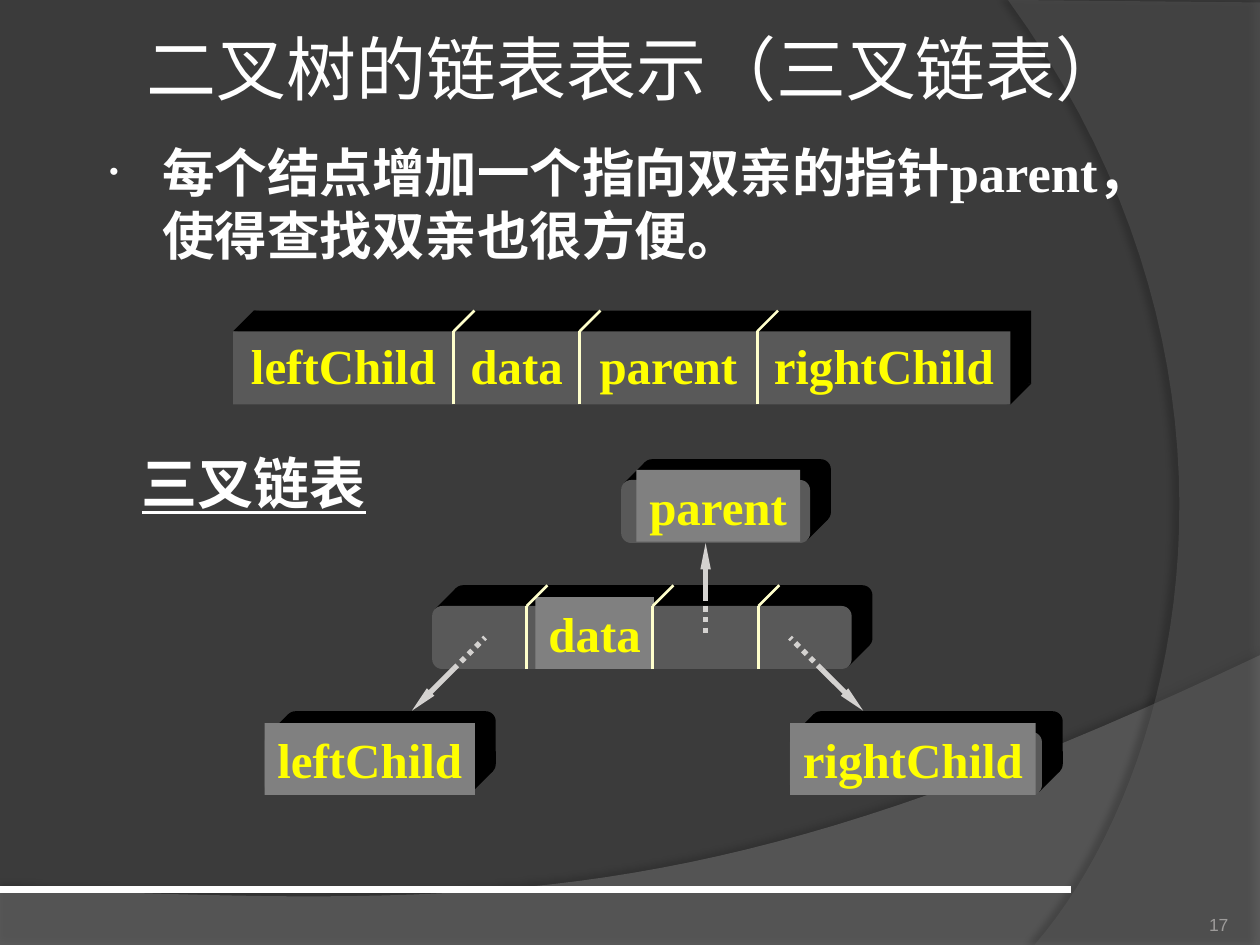
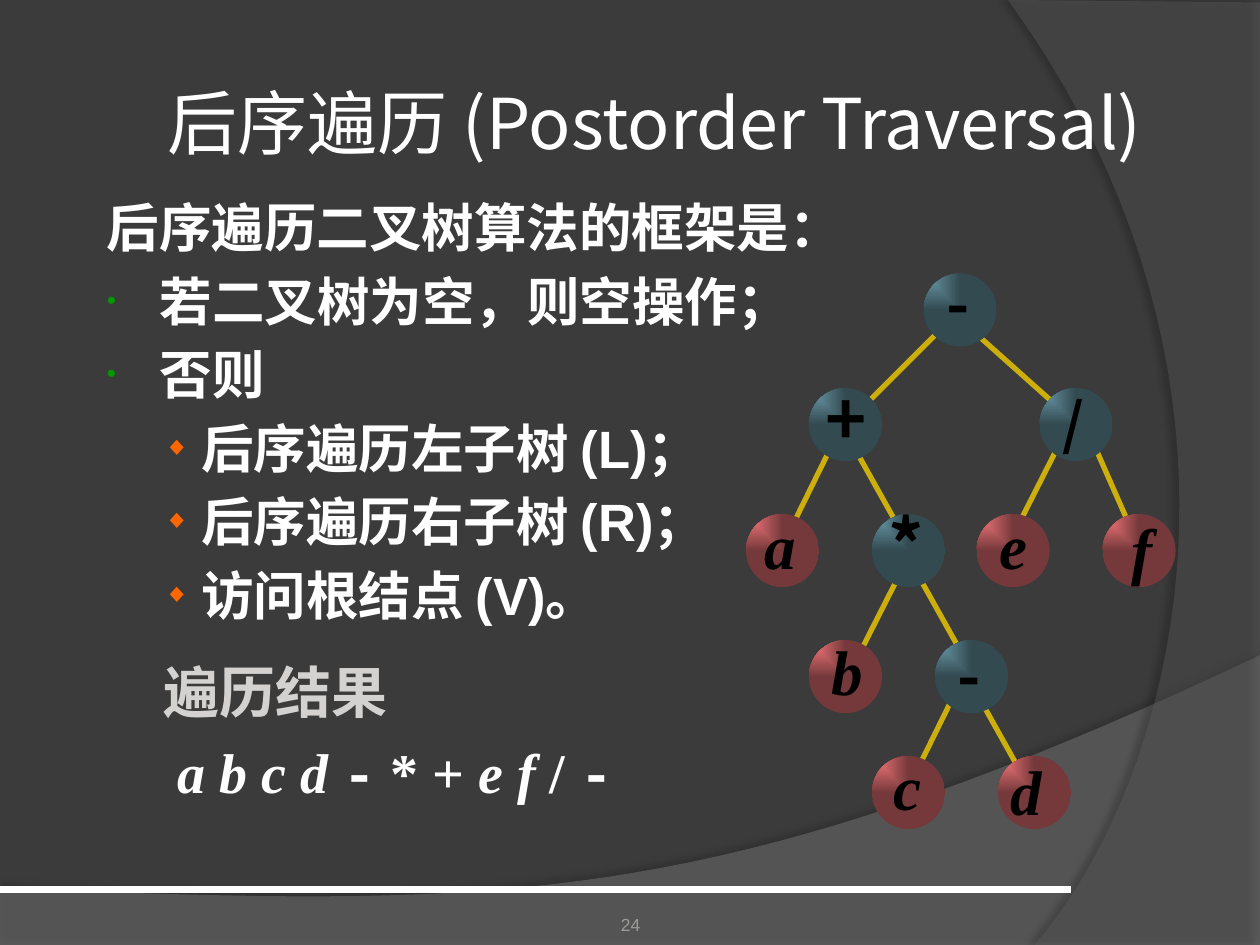
from dataclasses import dataclass
from typing import Optional

from lxml import etree
from pptx import Presentation
from pptx.dml.color import RGBColor
from pptx.enum.dml import MSO_LINE
from pptx.enum.shapes import MSO_CONNECTOR, MSO_SHAPE
from pptx.enum.text import MSO_ANCHOR, PP_ALIGN
from pptx.oxml import parse_xml
from pptx.oxml.ns import nsdecls, qn
from pptx.util import Inches, Pt

CENTER, RIGHT = PP_ALIGN.CENTER, PP_ALIGN.RIGHT
MIDDLE, BOTTOM, TOP = MSO_ANCHOR.MIDDLE, MSO_ANCHOR.BOTTOM, MSO_ANCHOR.TOP
STRAIGHT, DOTTED = MSO_CONNECTOR.STRAIGHT, MSO_LINE.ROUND_DOT
RECT, ROUNDED, OVAL = MSO_SHAPE.RECTANGLE, MSO_SHAPE.ROUNDED_RECTANGLE, MSO_SHAPE.OVAL

COLORS = {
    "background": "3B3B3B", "hill": "7F7F7F", "arc": "5E5E5E",
    "white": "FFFFFF", "black": "000000", "number": "9D9B9A",
    "face": "595959", "plate": "808080", "field": "FFFF00",
    "divider": "FFFFCC", "pointer": "D4D2D0", "edge": "CCAF0A",
    "step": "009900", "substep": "FF6600",
    "inner_light": "6EA0B0", "inner_dark": "334A51",
    "leaf_light": "FF7C80", "leaf_dark": "76393B",
}
SERIF, SANS, MONO, CJK = "Times New Roman", "Arial", "Courier New", "Noto Sans CJK SC"
DEPTH = 0.165     # extrusion of the record boxes
DIAMETER = 0.58   # tree nodes


@dataclass
class Box:
    left: float
    top: float
    width: float
    height: float

    def emu(self):
        return [Inches(v) for v in (self.left, self.top, self.width, self.height)]


@dataclass
class Node:
    symbol: str
    left: float
    top: float
    label: tuple          # left, top, width
    leaf: bool = False
    size: int = 36
    edge: Optional[tuple] = None   # line from the parent


def rgb(name: str) -> RGBColor:
    return RGBColor.from_string(COLORS[name])


# Text
def write(paragraph, content: str, *, size: float, color: str = "white", font: str = SERIF,
          bold: bool = True, italic: bool = False, underline: bool = False) -> None:
    run = paragraph.add_run()
    run.text = content
    style = run.font
    style.size, style.name = Pt(size), font
    style.bold, style.italic, style.underline = bold, italic, underline
    style.color.rgb = rgb(color)
    east_asian = etree.Element(qn("a:ea"), typeface=CJK)
    run._r.rPr.find(qn("a:latin")).addnext(east_asian)


def text_frame(shape, anchor=MIDDLE, inset: tuple = (0.1, 0.05), wrap: bool = True):
    frame = shape.text_frame
    frame.word_wrap, frame.vertical_anchor = wrap, anchor
    frame.margin_left = frame.margin_right = Inches(inset[0])
    frame.margin_top = frame.margin_bottom = Inches(inset[1])
    return frame


def add_label(slide, box: Box, content: str, *, align=CENTER, anchor=MIDDLE,
              inset: tuple = (0.1, 0.05), **style) -> None:
    frame = text_frame(slide.shapes.add_textbox(*box.emu()), anchor, inset, wrap=False)
    frame.paragraphs[0].alignment = align
    write(frame.paragraphs[0], content, **style)


def set_title(slide, box: Box, content: str, font: str) -> None:
    title = slide.shapes.title
    title.left, title.top, title.width, title.height = box.emu()
    paragraph = text_frame(title, inset=(0.05, 0.05)).paragraphs[0]
    paragraph.alignment = CENTER
    write(paragraph, content, size=40, font=font, bold=False)


def format_item(paragraph, line: float, before: float, margin: float = 0.46,
                hanging: float = 0.42, bullet: str = "", bullet_color: str = "white") -> None:
    paragraph.line_spacing, paragraph.space_before = Pt(line), Pt(before)
    properties = paragraph._p.get_or_add_pPr()
    properties.set("marL", str(Inches(margin)))
    properties.set("indent", str(-Inches(hanging)))
    if bullet:
        color = etree.SubElement(properties, qn("a:buClr"))
        etree.SubElement(color, qn("a:srgbClr"), val=COLORS[bullet_color])
        etree.SubElement(properties, qn("a:buSzPct"), val="50000")
        etree.SubElement(properties, qn("a:buFont"), typeface=SANS)
        etree.SubElement(properties, qn("a:buChar"), char=bullet)


# Shapes and lines
def paint(shape, color: str) -> None:
    shape.shadow.inherit = False
    shape.fill.solid()
    shape.fill.fore_color.rgb = rgb(color)
    shape.line.fill.background()


def add_line(slide, start: tuple, end: tuple, color: str, width: float,
             dotted: bool = False, arrow: bool = False):
    connector = slide.shapes.add_connector(STRAIGHT, *[Inches(v) for v in (*start, *end)])
    connector.line.color.rgb, connector.line.width = rgb(color), Pt(width)
    if dotted:
        connector.line.dash_style = DOTTED
    if arrow:
        etree.SubElement(connector.line._get_or_add_ln(), qn("a:tailEnd"),
                         type="triangle", w="sm", len="lg")
    etree.SubElement(connector._element.spPr, qn("a:effectLst"))
    return connector


def add_outline(slide, points: list, color: str):
    first, *rest = [(Inches(x), Inches(y)) for x, y in points]
    builder = slide.shapes.build_freeform(*first)
    builder.add_line_segments(rest, close=True)
    outline = builder.convert_to_shape()
    paint(outline, color)
    return outline


def curve(a: tuple, b: tuple, c: tuple, d: tuple, steps: int = 40) -> list:
    points = []
    for t in (i / steps for i in range(steps + 1)):
        weights = ((1 - t) ** 3, 3 * t * (1 - t) ** 2, 3 * t * t * (1 - t), t ** 3)
        points.append(tuple(sum(w * p[k] for w, p in zip(weights, (a, b, c, d)))
                            for k in (0, 1)))
    return points


# Shared backdrop, kept in the layout
def add_band(slide, points: list, color: str, opacity: int, shadow: int,
             distance: float, direction: int):
    band = add_outline(slide, points, color)
    properties = band._element.spPr
    fill = properties.find(qn("a:solidFill"))
    etree.SubElement(fill[0], qn("a:alpha"), val=str(opacity * 1000))
    outer = etree.SubElement(properties.find(qn("a:effectLst")), qn("a:outerShdw"),
                             blurRad=str(Pt(4)), dist=str(Pt(distance)),
                             dir=str(direction * 60000), rotWithShape="0")
    tint = etree.SubElement(outer, qn("a:srgbClr"), val=COLORS["black"])
    etree.SubElement(tint, qn("a:alpha"), val=str(shadow * 1000))
    return band


def dress_layout(layout, slide) -> None:
    layout.background.fill.solid()
    layout.background.fill.fore_color.rgb = rgb("background")
    hill = [(0, 7.51), (10, 7.51), *curve((10, 5.2), (5.59, 7.29), (3.91, 7.19), (0, 7.05))]
    arc = [(10, 0.02), (10, 7.5), *curve((8.21, 7.5), (9.35, 6.19), (10.18, 3), (8, 0))]
    backdrop = [add_band(slide, hill, "hill", 45, 35, 3.5, 270),
                add_band(slide, arc, "arc", 40, 45, 4, 180),
                add_line(slide, (0, 7.06), (8.5, 7.06), "white", 4.5)]
    for i, part in enumerate(backdrop):
        part._element.xpath(".//p:cNvPr")[0].set("id", str(100 + i))
        layout.shapes._spTree.insert(2 + i, part._element)


def add_number(slide, box: Box, number: str, align) -> None:
    add_label(slide, box, number, align=align, anchor=BOTTOM, inset=(0, 0),
              size=10, color="number", font=SANS, bold=False)


# Record boxes of the linked list
def add_record(slide, box: Box, radius: float = 0) -> None:
    kind = ROUNDED if radius else RECT
    cut = radius * 0.29
    x1, y1 = box.left + cut, box.top + cut
    x2, y2 = box.left + box.width - cut, box.top + box.height - cut
    add_outline(slide, [(x1, y1), (x1 + DEPTH, y1 - DEPTH),
                        (x2 + DEPTH, y2 - DEPTH), (x2, y2)], "black")
    for shift, color in ((DEPTH, "black"), (0, "face")):
        side = Box(box.left + shift, box.top - shift, box.width, box.height)
        face = slide.shapes.add_shape(kind, *side.emu())
        if radius:
            face.adjustments[0] = radius / box.height
        paint(face, color)


def add_divider(slide, x: float, top: float, bottom: float) -> None:
    add_line(slide, (x, bottom), (x, top), "divider", 1.5)
    add_line(slide, (x, top), (x + DEPTH, top - DEPTH), "divider", 1.5)


def add_plate(slide, box: Box, field: str) -> None:
    paint(slide.shapes.add_shape(RECT, *box.emu()), "plate")
    add_label(slide, box, field, size=28, color="field")


def add_tree_node(slide, node: Node) -> None:
    circle = slide.shapes.add_shape(
        OVAL, *Box(node.left, node.top, DIAMETER, DIAMETER).emu())
    circle.shadow.inherit = False
    circle.fill.background()
    circle.line.fill.background()
    tone = "leaf" if node.leaf else "inner"
    gradient = parse_xml(
        f'<a:gradFill {nsdecls("a")} rotWithShape="1"><a:gsLst>'
        f'<a:gs pos="0"><a:srgbClr val="{COLORS[tone + "_light"]}"/></a:gs>'
        f'<a:gs pos="100000"><a:srgbClr val="{COLORS[tone + "_dark"]}"/></a:gs></a:gsLst>'
        '<a:path path="rect"><a:fillToRect r="100000" b="100000"/></a:path></a:gradFill>')
    properties = circle._element.spPr
    properties.replace(properties.find(qn("a:noFill")), gradient)


prs = Presentation()
prs.slide_width, prs.slide_height = Inches(10), Inches(7.5)
title_only = prs.slide_layouts[5]

# Slide 1: linked list with parent pointers
links = prs.slides.add_slide(title_only)
dress_layout(title_only, links)
set_title(links, Box(0.55, 0.01, 9, 1.06), "二叉树的链表表示（三叉链表）", "Karla")
intro = text_frame(links.shapes.add_textbox(*Box(0.73, 1.07, 8.72, 1.14).emu()), TOP)
format_item(intro.paragraphs[0], 35.7, 0, bullet="•")
write(intro.paragraphs[0], "每个结点增加一个指向双亲的指针parent，使得查找双亲也很方便。", size=30)
add_number(links, Box(8.92, 7.02, 0.83, 0.4), "17", RIGHT)

add_record(links, Box(1.85, 2.63, 6.17, 0.58))
borders = [1.85, 3.6, 4.6, 6.01, 8.02]
fields = ["leftChild", "data", "parent", "rightChild"]
for field, left, right in zip(fields, borders, borders[1:]):
    add_label(links, Box(left, 2.61, right - left, 0.57), field, size=28, color="field")
for border in borders[1:-1]:
    add_divider(links, border, 2.63, 3.21)

for record in (Box(4.93, 3.81, 1.5, 0.5), Box(3.43, 4.81, 3.33, 0.5),
               Box(6.27, 5.81, 2, 0.5), Box(2.1, 5.81, 1.67, 0.5)):
    add_record(links, record, radius=0.08)
for field, plate in (("parent", Box(5.05, 3.73, 1.3, 0.57)),
                     ("data", Box(4.25, 4.74, 0.94, 0.57)),
                     ("leftChild", Box(2.1, 5.74, 1.67, 0.57)),
                     ("rightChild", Box(6.27, 5.74, 1.95, 0.57))):
    add_plate(links, plate, field)
for border in (4.18, 5.18, 6.02):
    add_divider(links, border, 4.81, 5.31)
for origin, exit_point, target in (((5.6, 5.06), (5.6, 4.73), (5.6, 4.31)),
                                   ((3.85, 5.06), (3.6, 5.31), (3.27, 5.64)),
                                   ((6.27, 5.06), (6.52, 5.31), (6.85, 5.64))):
    add_line(links, exit_point, target, "pointer", 3, arrow=True)
    add_line(links, exit_point, origin, "pointer", 3, dotted=True)
add_label(links, Box(1.02, 3.51, 1.99, 0.63), "三叉链表", size=32, underline=True)

# Slide 2: postorder traversal
postorder = prs.slides.add_slide(title_only)
set_title(postorder, Box(1.14, 0.55, 8.11, 0.83), "后序遍历 (Postorder Traversal)",
          "Noto Sans CJK JP")
add_number(postorder, Box(3.42, 7.02, 3.17, 0.4), "24", CENTER)

step = dict(bullet="•", bullet_color="step")
result = dict(margin=0.79, hanging=0.3)
substep = dict(bullet="◆", bullet_color="substep", **result)
algorithm = text_frame(postorder.shapes.add_textbox(*Box(0.71, 1.5, 6.17, 5.83).emu()), TOP)
for i, (content, layout) in enumerate([
        ("后序遍历二叉树算法的框架是：", {}),
        ("若二叉树为空，则空操作；", step), ("否则", step),
        ("后序遍历左子树 (L)；", substep), ("后序遍历右子树 (R)；", substep),
        ("访问根结点 (V)。", substep)]):
    item = algorithm.add_paragraph() if i else algorithm.paragraphs[0]
    format_item(item, 36, 6 if i else 0, **layout)
    write(item, content, size=30, font=SANS)
heading = algorithm.add_paragraph()
format_item(heading, 38, 18.5, **result)
write(heading, "遍历结果", size=32, color="pointer")
sequence = algorithm.add_paragraph()
format_item(sequence, 38, 7.5, **result)
for content, font, italic in ((" a b c d ", SERIF, True), ("-", MONO, False),
                              (" * + ", SERIF, False), ("e f", SERIF, True),
                              (" / ", SERIF, False), ("-", MONO, False)):
    write(sequence, content, size=32, font=font, italic=italic)

# Expression tree
tree = [
    Node("-", 7.33, 2.17, (7.38, 2.05, 0.45)),
    Node("+", 6.42, 3.08, (6.45, 2.93, 0.48), size=40, edge=(7.5, 2.58, 6.83, 3.25)),
    Node("/", 8.25, 3.08, (8.31, 3.03, 0.42), size=32, edge=(7.67, 2.58, 8.42, 3.25)),
    Node("a", 5.92, 4.08, (5.97, 3.97, 0.45), leaf=True, edge=(6.58, 3.58, 6.25, 4.25)),
    Node("*", 6.92, 4.08, (6.95, 3.93, 0.48), size=40, edge=(6.75, 3.5, 7.17, 4.25)),
    Node("e", 7.75, 4.08, (7.83, 3.97, 0.42), leaf=True, edge=(8.42, 3.5, 8.08, 4.17)),
    Node("f", 8.75, 4.08, (8.88, 4, 0.37), leaf=True, edge=(8.67, 3.5, 9, 4.25)),
    Node("b", 6.42, 5.08, (6.5, 4.97, 0.45), leaf=True, edge=(7.17, 4.5, 6.83, 5.17)),
    Node("-", 7.42, 5.08, (7.47, 5, 0.45), edge=(7.25, 4.5, 7.67, 5.25)),
    Node("c", 6.92, 6, (6.99, 5.88, 0.42), leaf=True, edge=(7.58, 5.5, 7.25, 6.17)),
    Node("d", 7.92, 6, (7.92, 5.92, 0.45), leaf=True, edge=(7.75, 5.5, 8.17, 6.25)),
]
for node in tree:
    if node.edge:
        add_line(postorder, node.edge[:2], node.edge[2:], "edge", 3)
for node in tree:
    add_tree_node(postorder, node)
for node in tree:
    add_label(postorder, Box(*node.label, node.size / 60 + 0.1), node.symbol, size=node.size,
              color="black", font=SERIF if node.leaf else CJK, italic=node.leaf)

prs.save("out.pptx")
